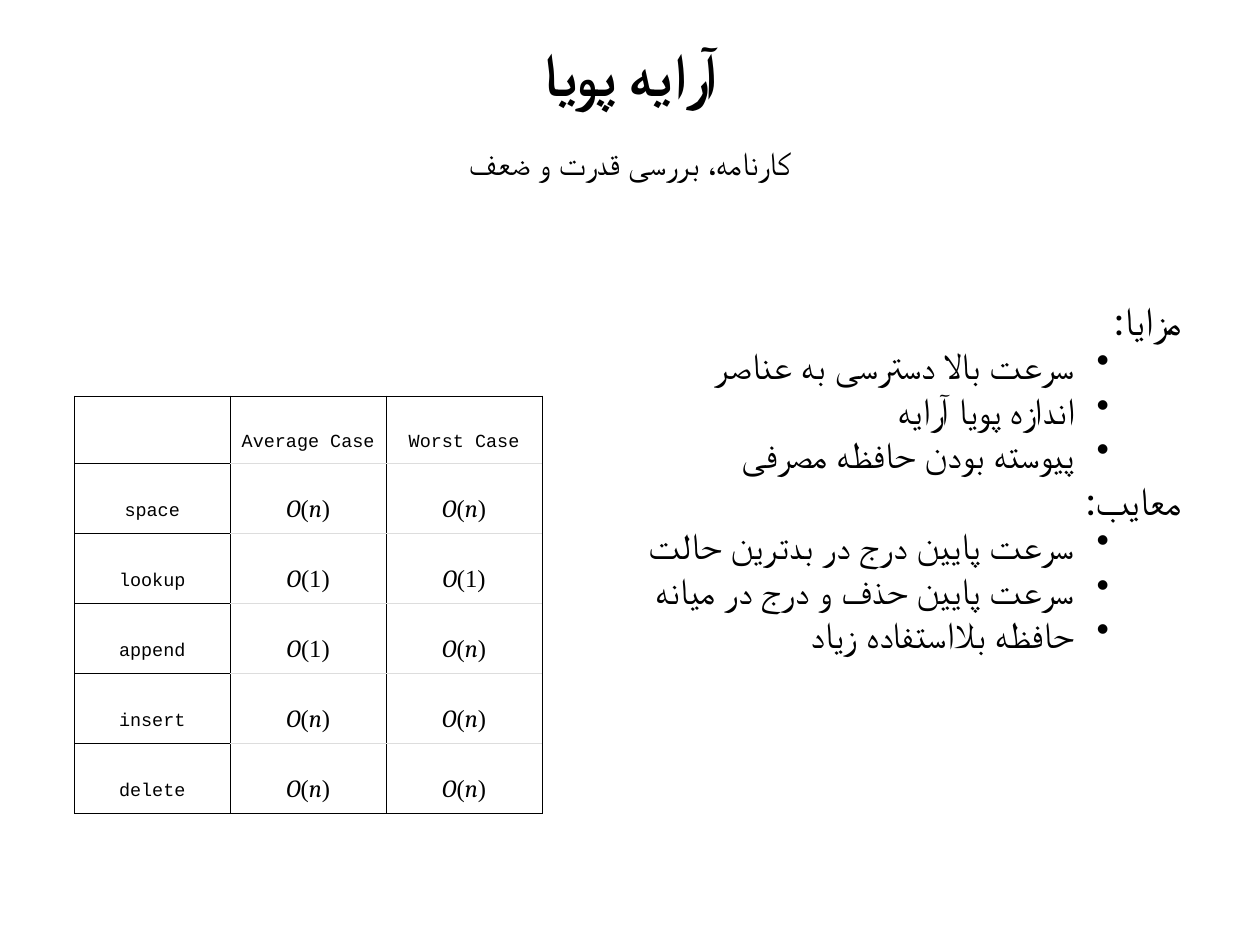
from itertools import groupby

from lxml.etree import SubElement
from pptx import Presentation
from pptx.dml.color import RGBColor
from pptx.enum.text import MSO_ANCHOR as Anchor, PP_ALIGN as Align
from pptx.oxml import parse_xml
from pptx.oxml.ns import nsdecls, qn
from pptx.util import Cm, Pt

BLACK, GREY = "000000", "DDDDDD"
TITLE = "آرایه پویا"
SUBTITLE = "کارنامه، بررسی قدرت و ضعف"
SECTIONS = {
    "مزایا:": [
        "سرعت بالا دسترسی به عناصر",
        "اندازه پویا آرایه",
        "پیوسته بودن حافظه مصرفی",
    ],
    "معایب:": [
        "سرعت پایین درج در بدترین حالت",
        "سرعت پایین حذف و درج در میانه",
        "حافظه بلااستفاده زیاد",
    ],
}
COMPLEXITY = [
    ("", "Average Case", "Worst Case"),
    ("space", "O(n)", "O(n)"),
    ("lookup", "O(1)", "O(1)"),
    ("append", "O(1)", "O(n)"),
    ("insert", "O(n)", "O(n)"),
    ("delete", "O(n)", "O(n)"),
]
LEFT, WIDTH = Cm(2.11), Cm(31.9)
TABLE_LEFT, TABLE_TOP = Cm(2.13), Cm(11.35)
COLUMN_WIDTH, HEADER_HEIGHT, ROW_HEIGHT = Cm(4.47), Cm(1.92), Cm(2.01)
BULLET_MARGIN, BULLET_INDENT = Cm(3.07), Cm(-1.02)


def color(value):
    return RGBColor.from_string(value)


def add_run(paragraph, text, size, name, bold=False, italic=False):
    run = paragraph.add_run()
    run.text = text
    font = run.font
    font.size, font.name, font.bold, font.italic = Pt(size), name, bold, italic
    font.color.rgb = color(BLACK)
    return run


def add_persian_run(paragraph, text, size, bold=False):
    run = add_run(paragraph, text, size, "Lato", bold)
    SubElement(run.font._element, qn("a:cs")).set("typeface", "Lato")
    return run


def add_text_frame(slide, top, height):
    frame = slide.shapes.add_textbox(LEFT, top, WIDTH, height).text_frame
    frame.word_wrap = True
    frame.margin_left = frame.margin_right = Cm(0.15)
    frame.margin_top = frame.margin_bottom = Cm(0.15)
    return frame


def set_right_to_left(paragraph):
    paragraph._p.get_or_add_pPr().set("rtl", "1")


def add_bullet(paragraph):
    properties = paragraph._p.get_or_add_pPr()
    properties.set("marL", str(BULLET_MARGIN))
    properties.set("marR", "0")
    properties.set("indent", str(BULLET_INDENT))
    SubElement(properties, qn("a:buChar")).set("char", "•")


def add_headings(slide):
    title = add_text_frame(slide, Cm(1.27), Cm(3.18)).paragraphs[0]
    title.alignment, title.line_spacing = Align.CENTER, 0.8
    set_right_to_left(title)
    run = add_persian_run(title, TITLE, 49.3, bold=True)
    run.font._element.set("spc", "-100")

    subtitle = add_text_frame(slide, Cm(3.96), Cm(1.83)).paragraphs[0]
    subtitle.alignment = Align.CENTER
    add_persian_run(subtitle, SUBTITLE, 26.5)


def add_sections(slide):
    frame = add_text_frame(slide, Cm(8.33), Cm(16.66))
    lines = []
    for heading, points in SECTIONS.items():
        lines += [(heading, 32, False)] + [(point, 30, True) for point in points]
    for index, (text, size, bulleted) in enumerate(lines):
        paragraph = frame.add_paragraph() if index else frame.paragraphs[0]
        paragraph.alignment = Align.RIGHT
        set_right_to_left(paragraph)
        if bulleted:
            add_bullet(paragraph)
        add_persian_run(paragraph, text, size)


def set_borders(cell, row, column):
    outer = {
        "L": column == 0,
        "R": column == len(COMPLEXITY[0]) - 1,
        "T": row == 0,
        "B": row == len(COMPLEXITY) - 1,
    }
    for index, (side, is_outer) in enumerate(outer.items()):
        inner_color = GREY if side in "TB" and column else BLACK
        line_color, width = (BLACK, 0.25) if is_outer else (inner_color, 1)
        line = parse_xml(
            f'<a:ln{side} {nsdecls("a")} w="{Pt(width)}"><a:solidFill>'
            f'<a:srgbClr val="{line_color}"/></a:solidFill></a:ln{side}>'
        )
        cell._tc.get_or_add_tcPr().insert(index, line)


def fill_cell(cell, text, is_formula):
    cell.fill.background()
    cell.vertical_anchor = Anchor.MIDDLE
    cell.margin_left = cell.margin_right = Cm(0.28)
    cell.margin_top = cell.margin_bottom = Cm(0.28)
    paragraph = cell.text_frame.paragraphs[0]
    paragraph.alignment = Align.CENTER
    paragraph.line_spacing = Pt(41 if is_formula else 39)
    if is_formula:
        for is_letter, group in groupby(text, str.isalpha):
            name = "Cambria" if is_letter else "Times New Roman"
            add_run(paragraph, "".join(group), 20, name, italic=is_letter)
    elif text:
        add_run(paragraph, text, 15, "Courier New")


def add_complexity_table(slide):
    rows, columns = len(COMPLEXITY), len(COMPLEXITY[0])
    height = HEADER_HEIGHT + ROW_HEIGHT * (rows - 1)
    table = slide.shapes.add_table(
        rows, columns, TABLE_LEFT, TABLE_TOP, COLUMN_WIDTH * columns, height
    ).table
    table.first_row = table.horz_banding = False
    for column in table.columns:
        column.width = COLUMN_WIDTH
    for row, texts in enumerate(COMPLEXITY):
        table.rows[row].height = ROW_HEIGHT if row else HEADER_HEIGHT
        for column, text in enumerate(texts):
            cell = table.cell(row, column)
            fill_cell(cell, text, row > 0 and column > 0)
            set_borders(cell, row, column)


def main():
    presentation = Presentation()
    presentation.slide_width, presentation.slide_height = Cm(36.12), Cm(27.1)
    slide = presentation.slides.add_slide(presentation.slide_layouts[6])
    add_sections(slide)
    add_headings(slide)
    add_complexity_table(slide)
    presentation.save("out.pptx")


if __name__ == "__main__":
    main()
